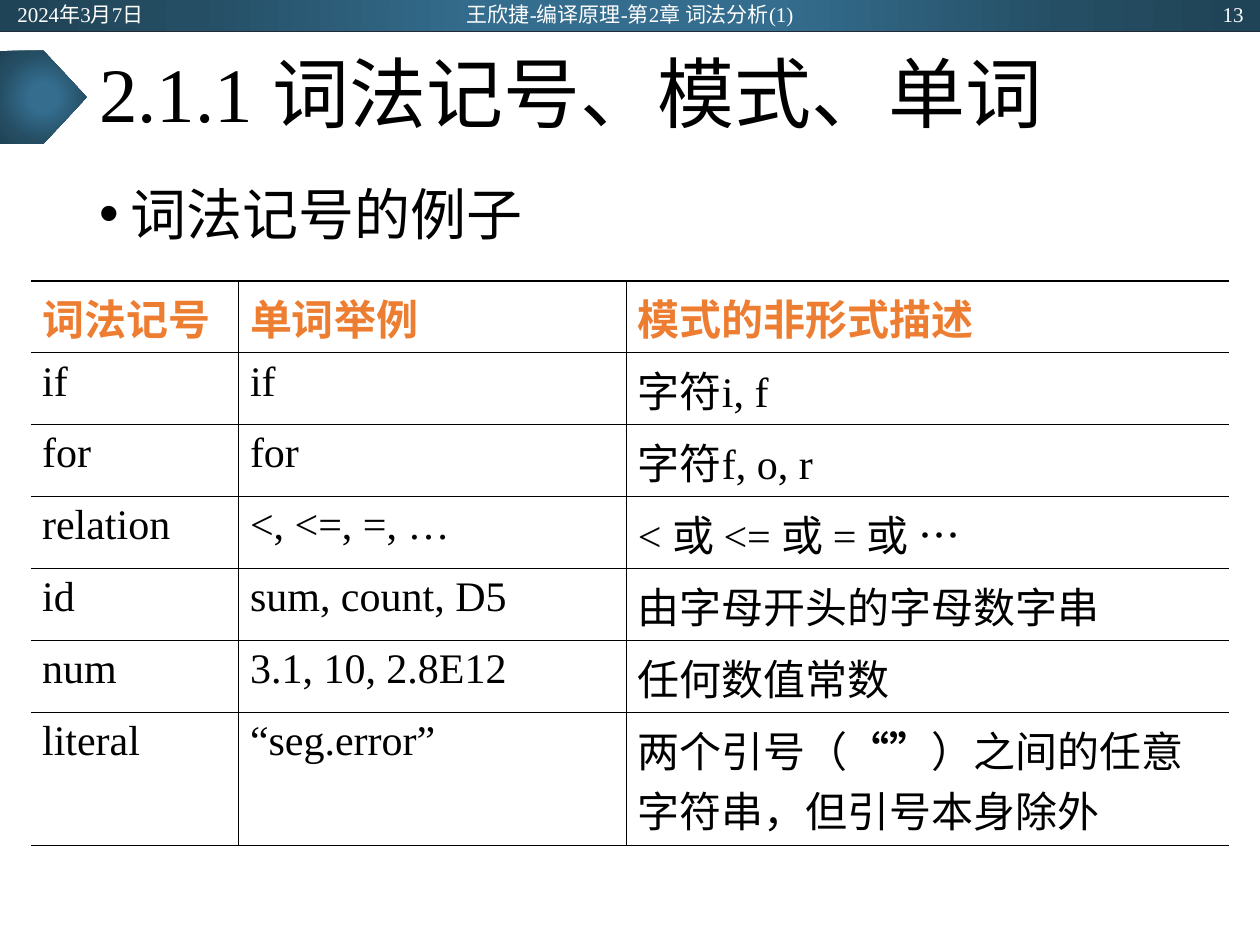
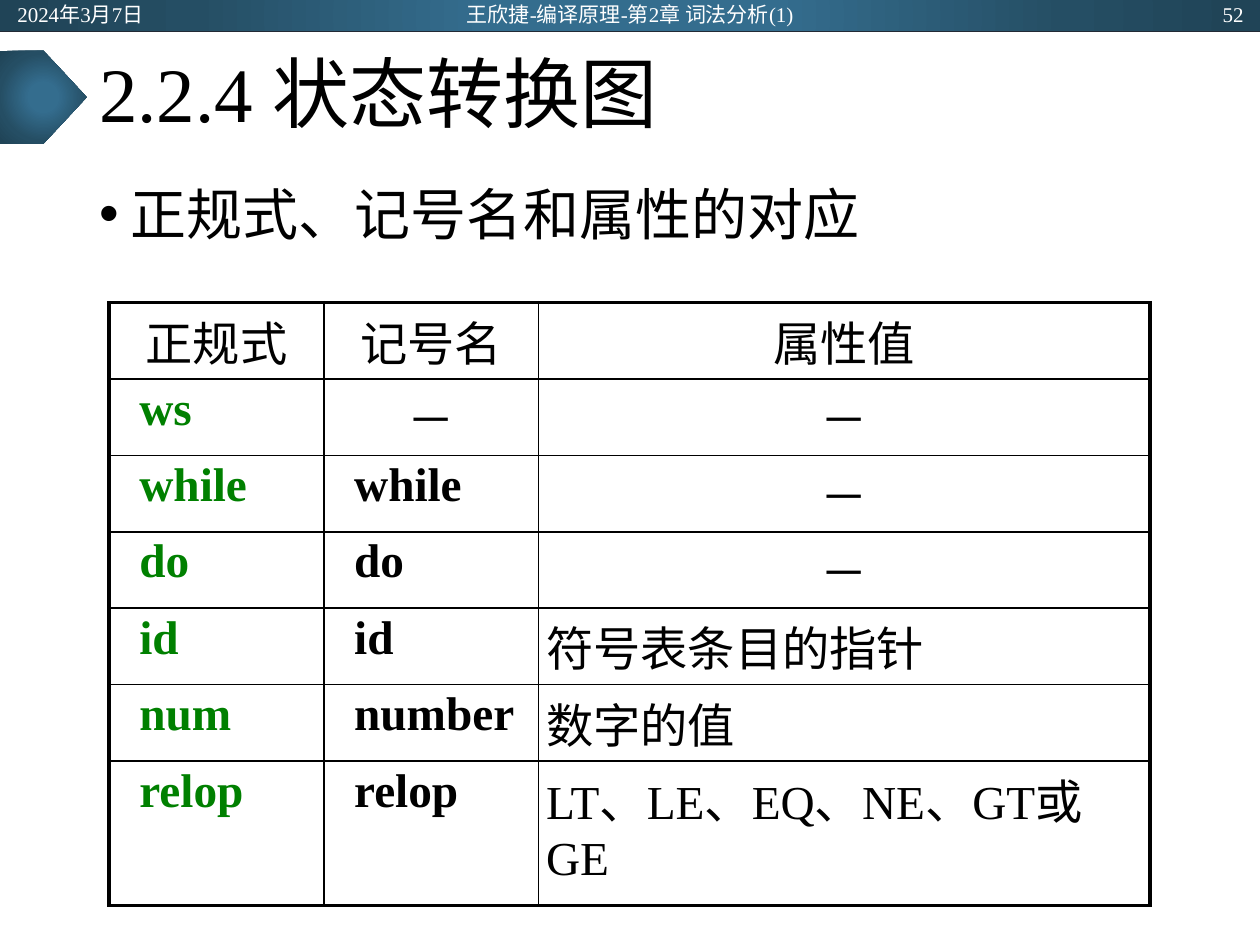
from lxml import etree
from pptx import Presentation
from pptx import util as u
from pptx.dml.color import RGBColor
from pptx.enum import shapes, text
from pptx.oxml import parse_xml
from pptx.oxml.ns import nsdecls, qn

COLORS = {
    "ink": "000000", "paper": "FFFFFF", "heading": "ED7D31", "regex": "008000",
    "rule": "222A35", "light": "346D8E", "mid": "254E64", "dark": "204457",
}
SERIF, SANS = "Times New Roman", "Lato"
LEFT, CENTER, RIGHT = text.PP_ALIGN.LEFT, text.PP_ALIGN.CENTER, text.PP_ALIGN.RIGHT
MIDDLE, TOP = text.MSO_ANCHOR.MIDDLE, text.MSO_ANCHOR.TOP
GRADIENT_STOPS = [(0, "light"), (23, "light"), (69, "mid"), (97, "dark")]
DATE = "2024年3月7日"
COURSE = "王欣捷-编译原理-第2章 词法分析(1)"

lessons = [
    {
        "number": 13,
        "title": "2.1.1 词法记号、模式、单词",
        "point": "词法记号的例子",
        "place": (0.62, 5.66),
        "columns": [4.19, 7.82, 12.14],
        "heights": [1.45] * 6 + [2.68],
        "insets": (0.23, 0.12),
        "size": 24,
        "edges": {"L": 0, "R": 0, "T": 1, "B": 1},
        "rows": [
            ["词法记号", "单词举例", "模式的非形式描述"],
            ["if", "if", "字符i, f"],
            ["for", "for", "字符f, o, r"],
            ["relation", "<, <=, =, …", "< 或 <= 或 = 或 …"],
            ["id", "sum, count, D5", "由字母开头的字母数字串"],
            ["num", "3.1, 10, 2.8E12", "任何数值常数"],
            ["literal", "“seg.error”",
             [("两个引号（", SERIF, False), ("“”", SERIF, True),
              ("）之间的任意字符串，但引号本身除外", SERIF, False)]],
        ],
    },
    {
        "number": 52,
        "title": "2.2.4 状态转换图",
        "point": "正规式、记号名和属性的对应",
        "place": (2.2, 6.1),
        "columns": [4.33, 4.33, 12.32],
        "heights": [1.54] * 6 + [2.91],
        "insets": (0.15, 0.08),
        "size": 27,
        "edges": {"L": 2.25, "R": 2.25, "T": 2.25, "B": 2.25},
        "rows": [
            ["正规式", "记号名", "属性值"],
            ["ws", "－", "－"],
            ["while", "while", "－"],
            ["do", "do", "－"],
            ["id", "id", "符号表条目的指针"],
            ["num", "number", "数字的值"],
            ["relop", "relop",
             [("LT、LE、EQ、NE、GT", SERIF, False), ("或", SANS, False),
              ("GE", SERIF, False)]],
        ],
    },
]


def write(paragraph, pieces, size, color, align=LEFT):
    paragraph.alignment = align
    for words, font, bold in pieces:
        run = paragraph.add_run()
        run.text = words
        run.font.name = font
        run.font.size = u.Pt(size)
        run.font.bold = bold
        run.font.color.rgb = RGBColor.from_string(COLORS[color])


def add_text(slide, box, words, size, color, align=LEFT, anchor=MIDDLE):
    frame = slide.shapes.add_textbox(*map(u.Cm, box)).text_frame
    frame.word_wrap = True
    frame.vertical_anchor = anchor
    write(frame.paragraphs[0], [(words, SERIF, False)], size, color, align)
    return frame.paragraphs[0]


deck = Presentation()
deck.slide_width, deck.slide_height = u.Cm(25.4), u.Cm(19.05)

for lesson in lessons:
    slide = deck.slides.add_slide(deck.slide_layouts[6])

    for outline, box in [
        (shapes.MSO_SHAPE.RECTANGLE, (0, 0, 25.4, 0.64)),
        (shapes.MSO_SHAPE.PENTAGON, (0, 1.02, 1.75, 1.88)),
    ]:
        ornament = slide.shapes.add_shape(outline, *map(u.Cm, box))
        ornament.shadow.inherit = False
        ornament.line.fill.background()
        ornament.fill.background()
        stops = "".join(
            f'<a:gs pos="{at * 1000}"><a:srgbClr val="{COLORS[tone]}"/></a:gs>'
            for at, tone in GRADIENT_STOPS)
        blank_fill = ornament._element.spPr.find(qn("a:noFill"))
        blank_fill.getparent().replace(blank_fill, parse_xml(
            f'<a:gradFill {nsdecls("a")}><a:gsLst>{stops}</a:gsLst>'
            '<a:path path="circle"><a:fillToRect l="50000" t="50000" '
            'r="50000" b="50000"/></a:path></a:gradFill>'))

    band_rule = slide.shapes.add_connector(
        shapes.MSO_CONNECTOR.STRAIGHT, 0, u.Cm(0.64), u.Cm(25.4), u.Cm(0.64))
    band_rule.line.color.rgb = RGBColor.from_string(COLORS["rule"])
    band_rule.line.width = u.Pt(0.5)
    etree.SubElement(band_rule._element.spPr, qn("a:effectLst"))

    title = add_text(slide, (1.75, 0.64, 21.9, 2.64), lesson["title"], 44, "ink")
    title.line_spacing = 0.9

    point = add_text(slide, (1.75, 3.5, 21.9, 13.67), lesson["point"], 32, "ink",
                     anchor=TOP)
    point.space_before = u.Pt(10)
    point_format = point._p.get_or_add_pPr()
    point_format.set("marL", str(u.Cm(0.64)))
    point_format.set("indent", str(-u.Cm(0.64)))
    bullet_font = etree.SubElement(point_format, qn("a:buFont"))
    bullet_font.set("typeface", "Arial")
    etree.SubElement(point_format, qn("a:buChar")).set("char", "•")

    rows, columns, heights = lesson["rows"], lesson["columns"], lesson["heights"]
    left, top = lesson["place"]
    grid = slide.shapes.add_table(
        len(rows), len(columns), u.Cm(left), u.Cm(top),
        u.Cm(sum(columns)), u.Cm(sum(heights))).table
    grid.first_row = grid.horz_banding = False
    for column, width in zip(grid.columns, columns):
        column.width = u.Cm(width)
    for row, height in zip(grid.rows, heights):
        row.height = u.Cm(height)

    is_token_table = lesson["size"] == 24
    for r, entries in enumerate(rows):
        for c, entry in enumerate(entries):
            cell = grid.cell(r, c)
            side_inset, top_inset = lesson["insets"]
            font, bold, color, align = SERIF, False, "ink", LEFT
            indent = 0
            if is_token_table:
                if r == 0:
                    bold, color = True, "heading"
            elif r == 0 or entry == "－":
                font, align = SANS, CENTER
            elif c < 2:
                bold, indent = True, 0.46
                color = "regex" if c == 0 else "ink"
            else:
                font = SANS
            cell.margin_left = u.Cm(side_inset + indent)
            cell.margin_right = u.Cm(side_inset)
            cell.margin_top = cell.margin_bottom = u.Cm(top_inset)
            pieces = [(entry, font, bold)] if isinstance(entry, str) else entry
            write(cell.text_frame.paragraphs[0], pieces, lesson["size"], color, align)

            outer = {"L": c == 0, "R": c == len(columns) - 1,
                     "T": r == 0, "B": r == len(rows) - 1}
            for side, on_edge in outer.items():
                weight = lesson["edges"][side] if on_edge else 1
                paint = (f'<a:solidFill><a:srgbClr val="{COLORS["ink"]}"/></a:solidFill>'
                         if weight else "<a:noFill/>")
                cell._tc.get_or_add_tcPr().append(parse_xml(
                    f'<a:ln{side} {nsdecls("a")} w="{u.Pt(weight)}">{paint}</a:ln{side}>'))
            cell.fill.background()

    for box, words, align in [
        ((0.1, 0.03, 5.72, 0.51), DATE, LEFT),
        ((8.41, 0.03, 8.59, 0.51), COURSE, CENTER),
        ((19.6, 0.03, 5.72, 0.51), str(lesson["number"]), RIGHT),
    ]:
        add_text(slide, box, words, 12, "paper", align)

deck.save("out.pptx")
